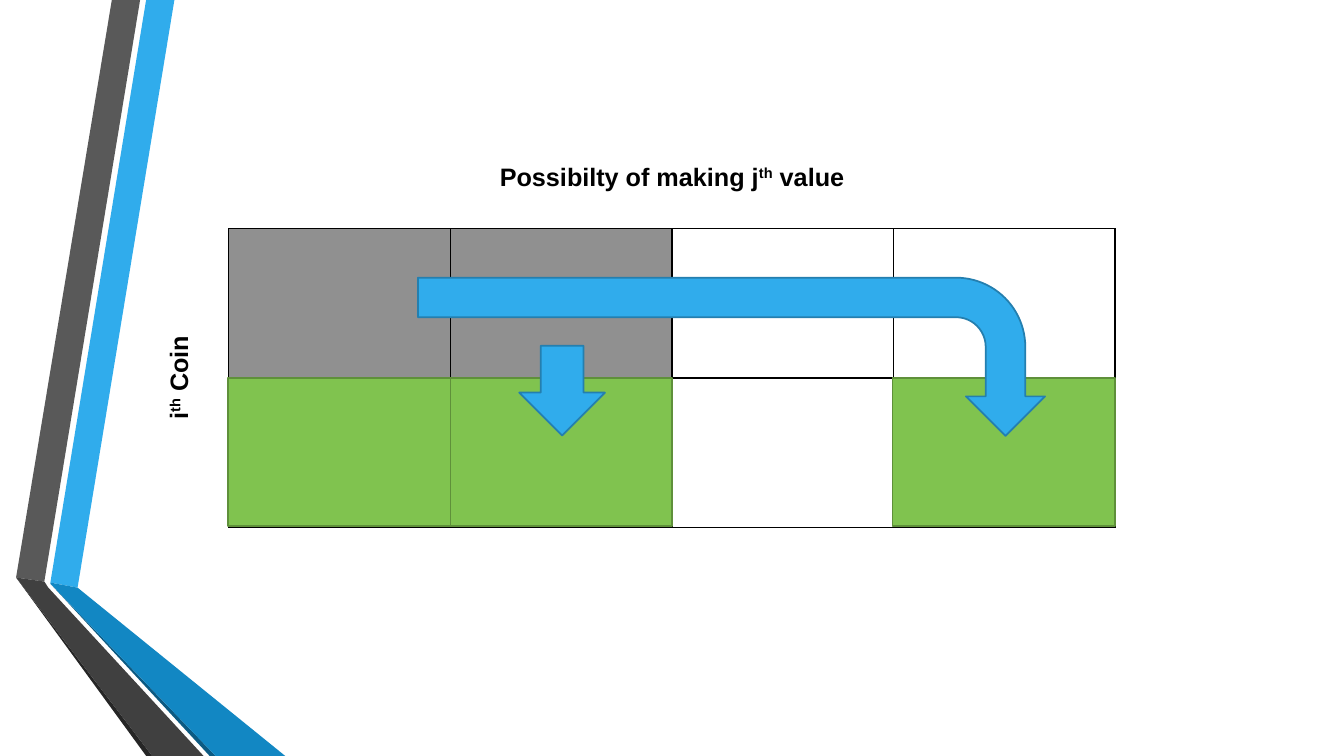
from lxml.etree import SubElement
from pptx import Presentation
from pptx.dml.color import RGBColor
from pptx.enum.shapes import MSO_SHAPE as Preset
from pptx.enum.text import MSO_ANCHOR as Anchor, PP_ALIGN as Align
from pptx.oxml.ns import qn
from pptx.util import Inches, Pt

COLORS = {
    "black": "000000", "grey": "909090", "green": "80C34F", "green_line": "5F903A",
    "dark_green": "5F9934", "blue": "30ACEC", "blue_line": "247FAF", "deep_blue": "1287C3",
    "navy": "0C5A82", "light_slate": "595959", "slate": "404040", "dark_slate": "262626",
}
RIBBONS = [
    ("blue", [(0.5, 5.78), (0.77, 5.83), (1.73, 0), (1.45, 0)]),
    ("light_slate", [(1.39, 0), (1.11, 0), (0.16, 5.73), (0.44, 5.77)]),
    ("dark_slate", [(0.16, 5.73), (1.45, 7.5), (1.51, 7.5)]),
    ("navy", [(0.5, 5.79), (2.08, 7.5), (2.14, 7.5)]),
    ("deep_blue", [(0.5, 5.79), (2.14, 7.5), (2.83, 7.5), (0.77, 5.83), (0.5, 5.78)]),
    ("slate", [(2.02, 7.5), (0.48, 5.83), (0.44, 5.77), (0.16, 5.73), (1.51, 7.5)]),
]
CELL_FILLS = [["grey", "grey", None, None], ["dark_green", None, None, None]]
GREEN_COLUMNS = [1, 0, 3]


def color(name):
    """Return the named colour."""
    return RGBColor.from_string(COLORS[name])


def paint(shape, fill, line=None):
    """Give a shape a solid fill and an optional outline, without a shadow."""
    shape.shadow.inherit = False
    shape.fill.solid()
    shape.fill.fore_color.rgb = color(fill)
    if line:
        shape.line.color.rgb = color(line)
        shape.line.width = Pt(1.25)
    else:
        shape.line.fill.background()


def add_preset(slide, preset, box, fill, line):
    """Add a painted preset shape in a box given in inches."""
    shape = slide.shapes.add_shape(preset, *map(Inches, box))
    paint(shape, fill, line)
    return shape


def add_ribbons(slide, left, top):
    """Draw the folded ribbons at the side of the slide."""
    for fill, points in RIBBONS:
        corners = [(Inches(left + x), Inches(top + y)) for x, y in points]
        builder = slide.shapes.build_freeform(*corners[0])
        builder.add_line_segments(corners[1:], close=True)
        paint(builder.convert_to_shape(), fill)


def write_label(text_frame, before, after):
    """Write a bold centred label with a raised 'th' inside it."""
    paragraph = text_frame.paragraphs[0]
    paragraph.alignment = Align.CENTER
    for text in (before, "th", after):
        run = paragraph.add_run()
        run.text = text
        run.font.name = "Arial"
        run.font.size = Pt(18)
        run.font.bold = True
        run.font.color.rgb = color("black")
        if text == "th":
            run._r.get_or_add_rPr().set("baseline", "30000")


def add_plain_table(slide, rows, columns, box):
    """Add an unbanded table without cell fills."""
    table = slide.shapes.add_table(rows, columns, *map(Inches, box)).table
    table.first_row = False
    table.horz_banding = False
    for cell in table.iter_cells():
        cell.fill.background()
    return table


def add_borders(cell):
    """Draw thin black borders round a cell."""
    properties = cell._tc.get_or_add_tcPr()
    for index, side in enumerate(("a:lnL", "a:lnR", "a:lnT", "a:lnB")):
        line = properties.makeelement(qn(side), {"w": str(Pt(1))})
        properties.insert(index, line)
        fill = SubElement(line, qn("a:solidFill"))
        SubElement(fill, qn("a:srgbClr"), val=COLORS["black"])


def add_grid(slide, left, top, width, height):
    """Draw the coin grid with its green cells and arrows."""
    table = add_plain_table(slide, 2, 4, (left, top, width, height))
    for row, fills in enumerate(CELL_FILLS):
        for column, fill in enumerate(fills):
            cell = table.cell(row, column)
            if fill:
                cell.fill.solid()
                cell.fill.fore_color.rgb = color(fill)
            add_borders(cell)
    step, row_height = width / 4, height / 2
    for column in GREEN_COLUMNS:
        box = (left - 0.01 + column * step, top + row_height, step + 0.01, row_height - 0.01)
        add_preset(slide, Preset.RECTANGLE, box, "green", "green_line")
    down_box = (left + 2.88, top + 1.16, 0.85, 0.89)
    add_preset(slide, Preset.DOWN_ARROW, down_box, "blue", "blue_line")
    bent_box = (left + 4.2, top - 1.84, 1.57, 6.22)
    add_preset(slide, Preset.BENT_ARROW, bent_box, "blue", "blue_line").rotation = 90


def add_heading(slide, left, top, width, height):
    """Add the column heading as a one-cell table."""
    cell = add_plain_table(slide, 1, 1, (left, top, width, height)).cell(0, 0)
    write_label(cell.text_frame, "Possibilty of making j", " value")


def add_side_label(slide, left, top, width, height):
    """Add the row label, turned to read upwards."""
    box = slide.shapes.add_textbox(*map(Inches, (left, top, width, height)))
    box.rotation = 270
    box.text_frame.word_wrap = True
    box.text_frame.vertical_anchor = Anchor.MIDDLE
    write_label(box.text_frame, "i", " Coin")


def main():
    """Build the slide and save it."""
    presentation = Presentation()
    presentation.slide_width = Inches(13.33)
    presentation.slide_height = Inches(7.5)
    slide = presentation.slides.add_slide(presentation.slide_layouts[6])
    add_ribbons(slide, 0, 0)
    add_grid(slide, 2.27, 2.27, 8.79, 2.96)
    add_heading(slide, 2.22, 1.57, 8.89, 0.41)
    add_side_label(slide, 0.78, 3.47, 1.97, 0.55)
    presentation.save("out.pptx")


if __name__ == "__main__":
    main()
